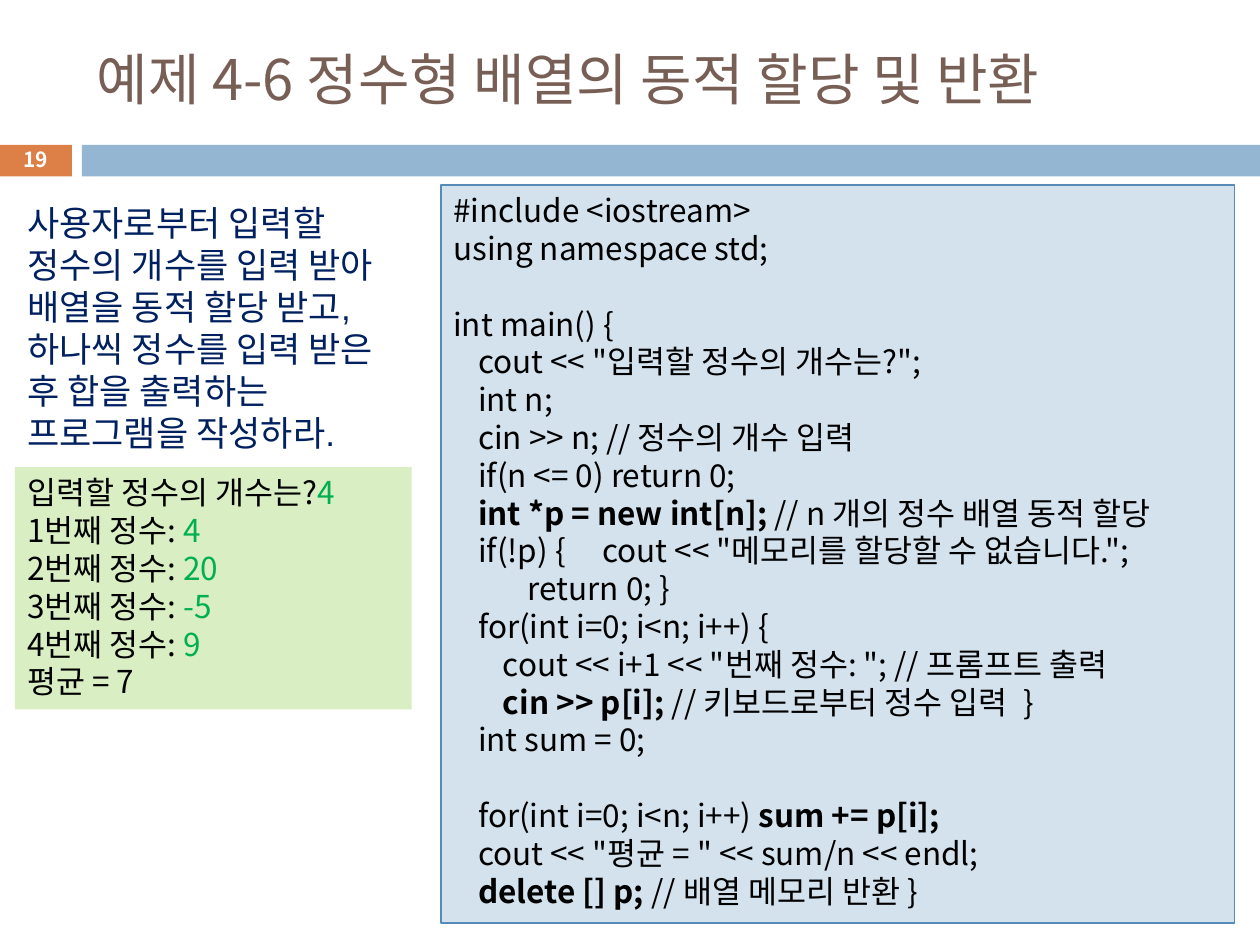
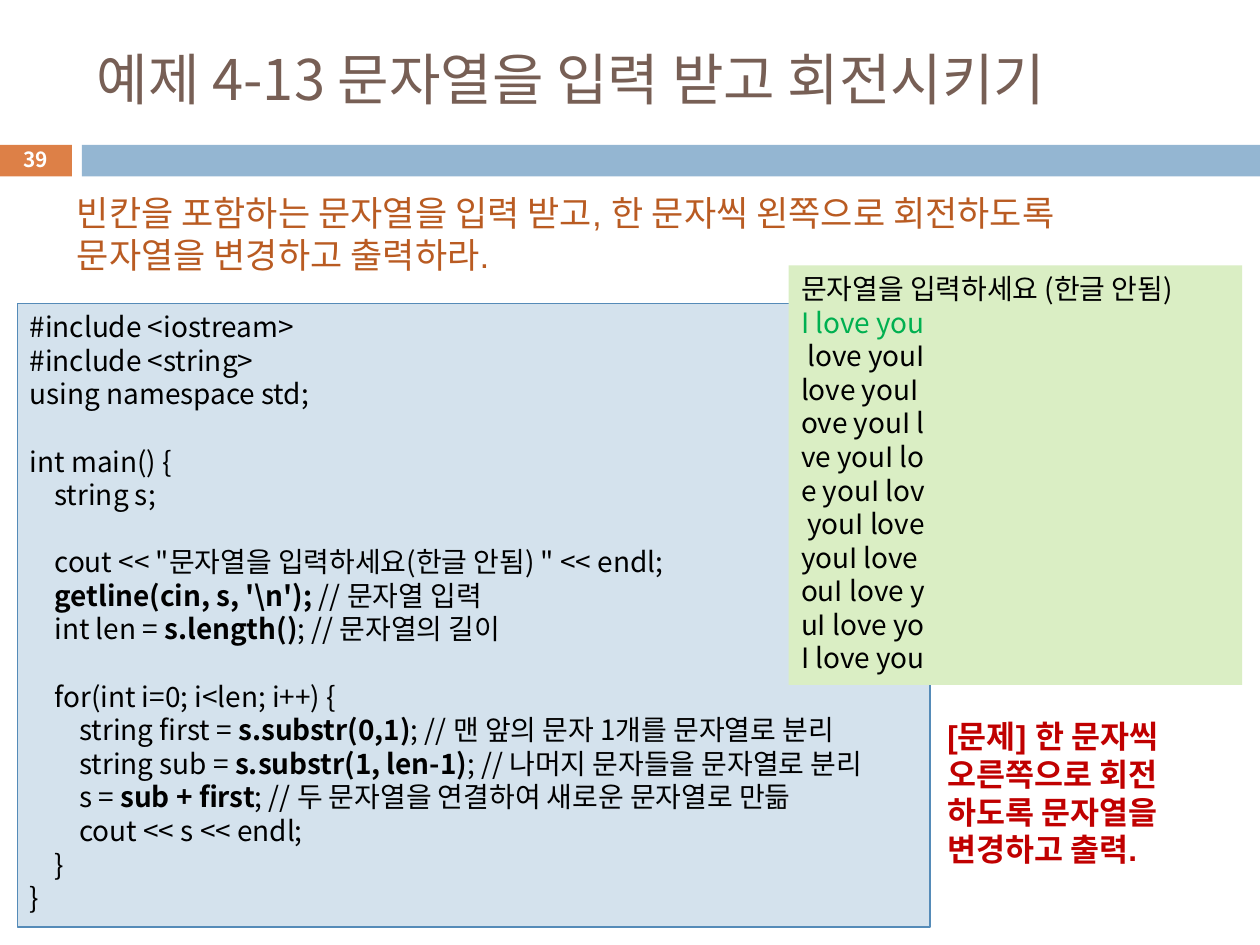
import lxml.etree
import pptx
import pptx.dml.color
import pptx.enum.shapes
import pptx.enum.text
import pptx.oxml.ns
import pptx.util

Cm = pptx.util.Cm
Pt = pptx.util.Pt
MIDDLE = pptx.enum.text.MSO_ANCHOR.MIDDLE
CENTER = pptx.enum.text.PP_ALIGN.CENTER

# Shared look
MAIN_FONT = "Noto Sans CJK KR"
PROSE_FONT = "Arial"
BLACK, WHITE = "000000", "FFFFFF"
TITLE_BROWN, NUMBER_ORANGE, BAND_BLUE = "775F55", "DD8047", "94B6D2"
CODE_FILL, CODE_EDGE = "D4E2ED", "558BB8"
CONSOLE_FILL, TYPED_GREEN = "DAEEC4", "00B050"
NAVY, RUST, RED = "002060", "B95B22", "C00000"
LINE_HEIGHT = 1.2
TAB_STEP, TAB_COUNT = 0.5, 28

# Text between two marks is emphasised; an empty line is a one-line gap
MARK = "`"

ALLOCATION_TASK = [
    "사용자로부터 입력할 정수의 개수를 입력 받아 배열을 동적 할당 받고, "
    "하나씩 정수를 입력 받은 후 합을 출력하는 프로그램을 작성하라."]
ALLOCATION_CODE = [
    "#include <iostream>",
    "using namespace std;",
    "",
    "int main() {",
    "\tcout << \"입력할 정수의 개수는?\";",
    "\tint n;",
    "\tcin >> n; // 정수의 개수 입력",
    "\tif(n <= 0) return 0;",
    "\t`int *p = new int[n]; `// n 개의 정수 배열 동적 할당",
    "\tif(!p) { \t\tcout << \"메모리를 할당할 수 없습니다.\";",
    "\t\t\treturn 0; }",
    "\tfor(int i=0; i<n; i++) {",
    "\t\tcout << i+1 << \"번째 정수: \"; // 프롬프트 출력",
    "\t\t`cin >> p[i]; `// 키보드로부터 정수 입력 \t}",
    "\tint sum = 0;",
    "",
    "\tfor(int i=0; i<n; i++) `sum += p[i];`",
    "\tcout << \"평균 = \" << sum/n << endl;",
    "\t`delete [] p; `// 배열 메모리 반환 }",
]
ENTERED_NUMBERS = [4, 20, -5, 9]

ROTATION_TASK = ["빈칸을 포함하는 문자열을 입력 받고, 한 문자씩 왼쪽으로 회전하도록 "
                 "문자열을 변경하고 출력하라."]
ROTATION_CODE = [
    "#include <iostream>",
    "#include <string>",
    "using namespace std;",
    "",
    "int main() {",
    "\tstring s;",
    "",
    "\tcout << \"문자열을 입력하세요(한글 안됨) \" << endl;",
    "\t`getline(cin, s, '\\n'); `// 문자열 입력",
    "\tint len = `s.length()`; // 문자열의 길이",
    "",
    "\tfor(int i=0; i<len; i++) {",
    "\t\tstring first = `s.substr(0,1)`; // 맨 앞의 문자 1개를 문자열로 분리",
    "\t\tstring sub = `s.substr(1, len-1)`; // 나머지 문자들을 문자열로 분리",
    "\t\ts = `sub + first`; // 두 문자열을 연결하여 새로운 문자열로 만듦",
    "\t\tcout << s << endl;",
    "\t}",
    "}",
]
ENTERED_PHRASE = "I love you"
EXERCISE = ["[문제] 한 문자씩", "오른쪽으로 회전", "하도록 문자열을", "변경하고 출력."]


def color(hex_text):
    return pptx.dml.color.RGBColor.from_string(hex_text)


def add_tab_stops(para):
    properties = para._p.get_or_add_pPr()
    stops = lxml.etree.SubElement(properties, pptx.oxml.ns.qn("a:tabLst"))
    for number in range(1, TAB_COUNT + 1):
        stop = lxml.etree.SubElement(stops, pptx.oxml.ns.qn("a:tab"))
        stop.set("pos", str(Cm(TAB_STEP * number)))
        stop.set("algn", "l")


def add_span(para, text, size, ink, bold, font):
    span = para.add_run()
    span.text = text
    span.font.size = Pt(size)
    span.font.bold = bold
    span.font.name = font
    span.font.color.rgb = color(ink)
    east_asian = lxml.etree.SubElement(
        span._r.get_or_add_rPr(), pptx.oxml.ns.qn("a:ea"))
    east_asian.set("typeface", MAIN_FONT)


def write_lines(box, lines, size, ink=BLACK, bold=False, font=MAIN_FONT,
                accent=None, align=pptx.enum.text.PP_ALIGN.LEFT,
                anchor=pptx.enum.text.MSO_ANCHOR.TOP, tabs=False):
    """Write lines; emphasis is the accent colour, or bold without one."""
    frame = box.text_frame
    frame.word_wrap = True
    frame.vertical_anchor = anchor
    para, gap = None, 0
    for line in lines:
        if not line:
            gap += size * LINE_HEIGHT
            continue
        para = frame.add_paragraph() if para else frame.paragraphs[0]
        para.alignment = align
        para.line_spacing = Pt(size * LINE_HEIGHT)
        para.space_before = Pt(gap)
        gap = 0
        if tabs:
            add_tab_stops(para)
        for index, text in enumerate(line.split(MARK)):
            marked = index % 2 == 1
            if text:
                add_span(para, text, size,
                         accent if marked and accent else ink,
                         bold or (marked and not accent), font)


def add_panel(page, place, fill, edge=None):
    panel = page.shapes.add_shape(
        pptx.enum.shapes.MSO_SHAPE.RECTANGLE, *map(Cm, place))
    panel.shadow.inherit = False
    panel.fill.solid()
    panel.fill.fore_color.rgb = color(fill)
    if edge:
        panel.line.color.rgb = color(edge)
        panel.line.width = Pt(0.75)
    else:
        panel.line.fill.background()
    return panel


def add_label(page, place, lines, size, ink, **style):
    box = page.shapes.add_textbox(*map(Cm, place))
    write_lines(box, lines, size, ink, **style)


def add_code(page, place, lines, size):
    panel = add_panel(page, place, CODE_FILL, CODE_EDGE)
    write_lines(panel, lines, size, tabs=True)


def add_console(page, place, lines, size):
    panel = add_panel(page, place, CONSOLE_FILL)
    write_lines(panel, lines, size, accent=TYPED_GREEN)


def add_page(deck, title, number):
    """Add a page with its title, bands and page number."""
    page = deck.slides.add_slide(deck.slide_layouts[6])
    add_panel(page, (-0.02, 2.92, 1.47, 0.64), NUMBER_ORANGE)
    add_panel(page, (1.65, 2.92, 23.75, 0.64), BAND_BLUE)
    add_label(page, (1.7, 0.64, 22.66, 1.88), [title], 32, TITLE_BROWN,
              anchor=MIDDLE)
    add_label(page, (-0.02, 2.87, 1.47, 0.69), [str(number)], 11.9, WHITE,
              bold=True, align=CENTER, anchor=MIDDLE)
    return page


def add_allocation_page(deck):
    page = add_page(deck, "예제 4-6 정수형 배열의 동적 할당 및 반환", 19)
    add_code(page, (8.89, 3.73, 16, 14.88), ALLOCATION_CODE, 18)
    count = len(ENTERED_NUMBERS)
    average = sum(ENTERED_NUMBERS) // count
    session = [f"입력할 정수의 개수는?`{count}`"]
    session += [f"{order}번째 정수: `{value}`"
                for order, value in enumerate(ENTERED_NUMBERS, 1)]
    session.append(f"평균 = {average}")
    add_console(page, (0.3, 9.42, 8, 4.88), session, 18)
    add_label(page, (0.3, 3.94, 8, 5.38), ALLOCATION_TASK, 20, NAVY,
              font=PROSE_FONT)


def add_rotation_page(deck):
    page = add_page(deck, "예제 4-13 문자열을 입력 받고 회전시키기", 39)
    add_code(page, (0.35, 6.12, 18.4, 12.57), ROTATION_CODE, 16)
    add_label(page, (1.3, 3.73, 21.97, 1.96), ROTATION_TASK, 20, RUST,
              font=PROSE_FONT)
    session = ["문자열을 입력하세요 (한글 안됨)", f"`{ENTERED_PHRASE}`"]
    session += [ENTERED_PHRASE[shift:] + ENTERED_PHRASE[:shift]
                for shift in range(1, len(ENTERED_PHRASE) + 1)]
    add_console(page, (15.9, 5.35, 9.14, 8.46), session, 16)
    add_label(page, (18.85, 14.33, 5.92, 3.33), EXERCISE, 18, RED,
              bold=True, font=PROSE_FONT)


def main():
    deck = pptx.Presentation()
    deck.slide_width, deck.slide_height = Cm(25.4), Cm(19.05)
    add_allocation_page(deck)
    add_rotation_page(deck)
    deck.save("out.pptx")


if __name__ == "__main__":
    main()
